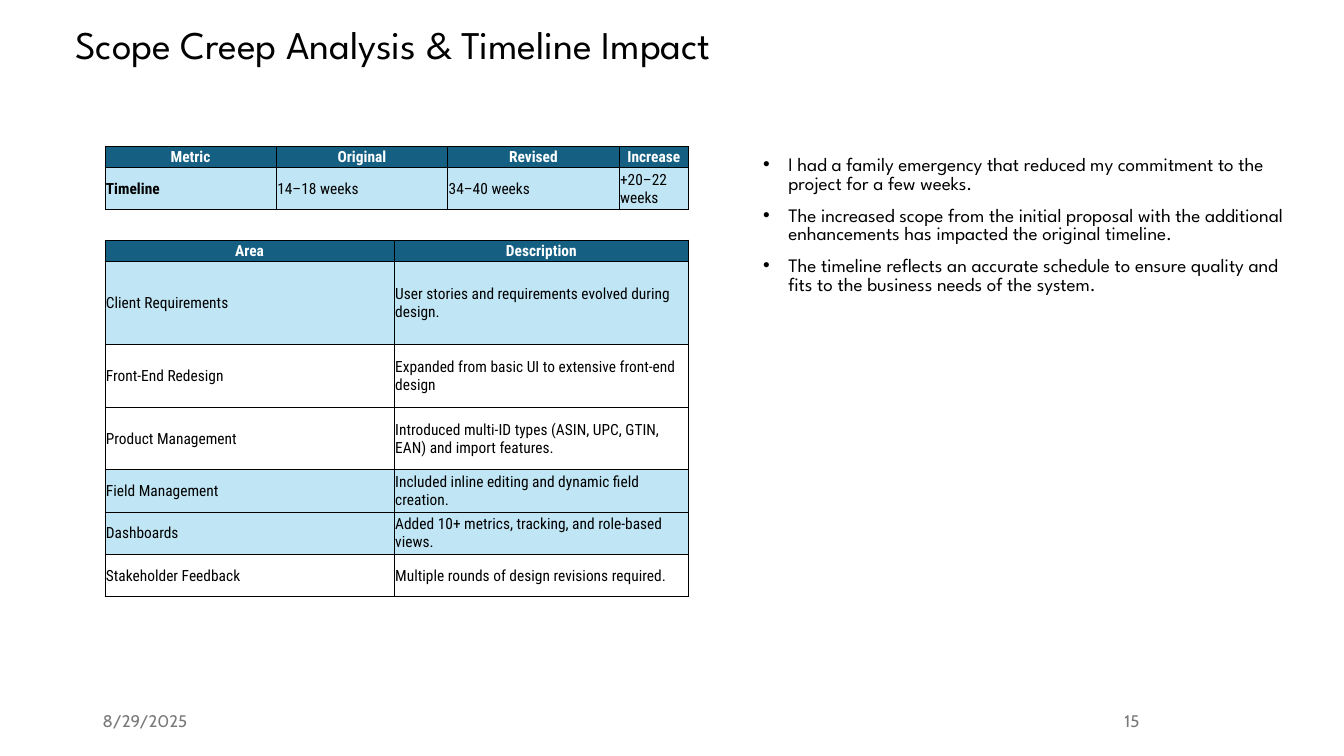
from lxml.etree import SubElement
from pptx import Presentation
from pptx.dml.color import RGBColor
from pptx.enum.text import MSO_ANCHOR as Anchor, PP_ALIGN as Align
from pptx.oxml.ns import qn
from pptx.util import Pt

COLORS = {"text": "000000", "muted": "797979", "header": "156082",
          "band": "C0E6F5", "white": "FFFFFF"}
HEADING_FONT, TABLE_FONT, FOOTER_FONT = "League Spartan", "Roboto Condensed", "Cabin"
PX = 9144


class SlideBuilder:
    """Draws styled text and tables on one slide, with 100 px to the inch."""

    def __init__(self, presentation):
        self.slide = presentation.slides.add_slide(presentation.slide_layouts[6])

    def color(self, name):
        return RGBColor.from_string(COLORS[name])

    def style(self, paragraph, font, size, color, bold=False):
        paragraph.font.name = font
        paragraph.font.size = Pt(size)
        paragraph.font.bold = bold
        paragraph.font.color.rgb = self.color(color)

    def text(self, box, lines, font, size, color="text", align=Align.LEFT,
             anchor=Anchor.TOP, line_spacing=1.0, space_before=0, bullet=False):
        shape = self.slide.shapes.add_textbox(*(value * PX for value in box))
        frame = shape.text_frame
        frame.word_wrap = True
        frame.vertical_anchor = anchor
        frame.text = "\n".join(lines)
        for index, paragraph in enumerate(frame.paragraphs):
            paragraph.alignment = align
            paragraph.line_spacing = line_spacing
            paragraph.space_before = Pt(space_before if index else 0)
            if bullet:
                self.bullet(paragraph)
            self.style(paragraph, font, size, color)

    def bullet(self, paragraph):
        properties = paragraph._p.get_or_add_pPr()
        properties.set("marL", str(25 * PX))
        properties.set("indent", str(-25 * PX))
        SubElement(properties, qn("a:buFont"), typeface="Arial")
        SubElement(properties, qn("a:buChar"), char="•")

    def table(self, left, top, widths, header, rows, bold_first=False):
        rows = [(21, "header", header), *rows]
        height = sum(row[0] for row in rows)
        frame = self.slide.shapes.add_table(
            len(rows), len(widths), left * PX, top * PX, sum(widths) * PX, height * PX)
        table = frame.table
        table.first_row = table.horz_banding = False
        for column, width in zip(table.columns, widths):
            column.width = width * PX
        for row_index, (row_height, fill, texts) in enumerate(rows):
            table.rows[row_index].height = row_height * PX
            for column_index, text in enumerate(texts):
                bold = row_index == 0 or (bold_first and column_index == 0)
                self.cell(table.cell(row_index, column_index), text, fill, bold)

    def cell(self, cell, text, fill, bold):
        is_header = fill == "header"
        cell.text = text
        cell.vertical_anchor = Anchor.MIDDLE
        cell.margin_left = cell.margin_right = cell.margin_top = PX
        cell.margin_bottom = 0
        paragraph = cell.text_frame.paragraphs[0]
        paragraph.alignment = Align.CENTER if is_header else Align.LEFT
        self.style(paragraph, TABLE_FONT, 11, "white" if is_header else "text", bold)
        properties = cell._tc.get_or_add_tcPr()
        for edge in ("lnL", "lnR", "lnT", "lnB"):
            line = SubElement(properties, qn(f"a:{edge}"), w=str(Pt(0.5)))
            solid = SubElement(line, qn("a:solidFill"))
            SubElement(solid, qn("a:srgbClr"), val=COLORS["text"])
        if fill:
            cell.fill.solid()
            cell.fill.fore_color.rgb = self.color(fill)
        else:
            cell.fill.background()


def main():
    presentation = Presentation()
    presentation.slide_width, presentation.slide_height = 1333 * PX, 750 * PX
    builder = SlideBuilder(presentation)
    builder.text((65, 21, 1150, 53), ["Scope Creep Analysis & Timeline Impact"],
                 HEADING_FONT, 28, line_spacing=0.9)
    builder.text((747, 151, 552, 174), [
        "I had a family emergency that reduced my commitment to the project for a few weeks.",
        "The increased scope from the initial proposal with the additional enhancements "
        "has impacted the original timeline.",
        "The timeline reflects an accurate schedule to ensure quality and fits to the "
        "business needs of the system.",
    ], HEADING_FONT, 13.6, line_spacing=0.8, space_before=10, bullet=True)
    builder.table(104, 145, [170, 170, 170, 69],
                  ["Metric", "Original", "Revised", "Increase"],
                  [(42, "band", ["Timeline", "14–18 weeks", "34–40 weeks", "+20–22 weeks"])],
                  bold_first=True)
    builder.table(104, 238, [287, 292], ["Area", "Description"], [
        (83, "band", ["Client Requirements",
                      "User stories and requirements evolved during design."]),
        (62, None, ["Front-End Redesign",
                    "Expanded from basic UI to extensive front-end design"]),
        (62, None, ["Product Management",
                    "Introduced multi-ID types (ASIN, UPC, GTIN, EAN) and import features."]),
        (42, "band", ["Field Management",
                      "Included inline editing and dynamic field creation."]),
        (42, "band", ["Dashboards",
                      "Added 10+ metrics, tracking, and role-based views."]),
        (42, None, ["Stakeholder Feedback",
                    "Multiple rounds of design revisions required."]),
    ])
    builder.text((92, 695, 300, 40), ["8/29/2025"], FOOTER_FONT, 12, "muted",
                 anchor=Anchor.MIDDLE)
    builder.text((942, 695, 198, 40), ["15"], FOOTER_FONT, 12, "muted",
                 align=Align.RIGHT, anchor=Anchor.MIDDLE)
    presentation.save("out.pptx")


if __name__ == "__main__":
    main()
